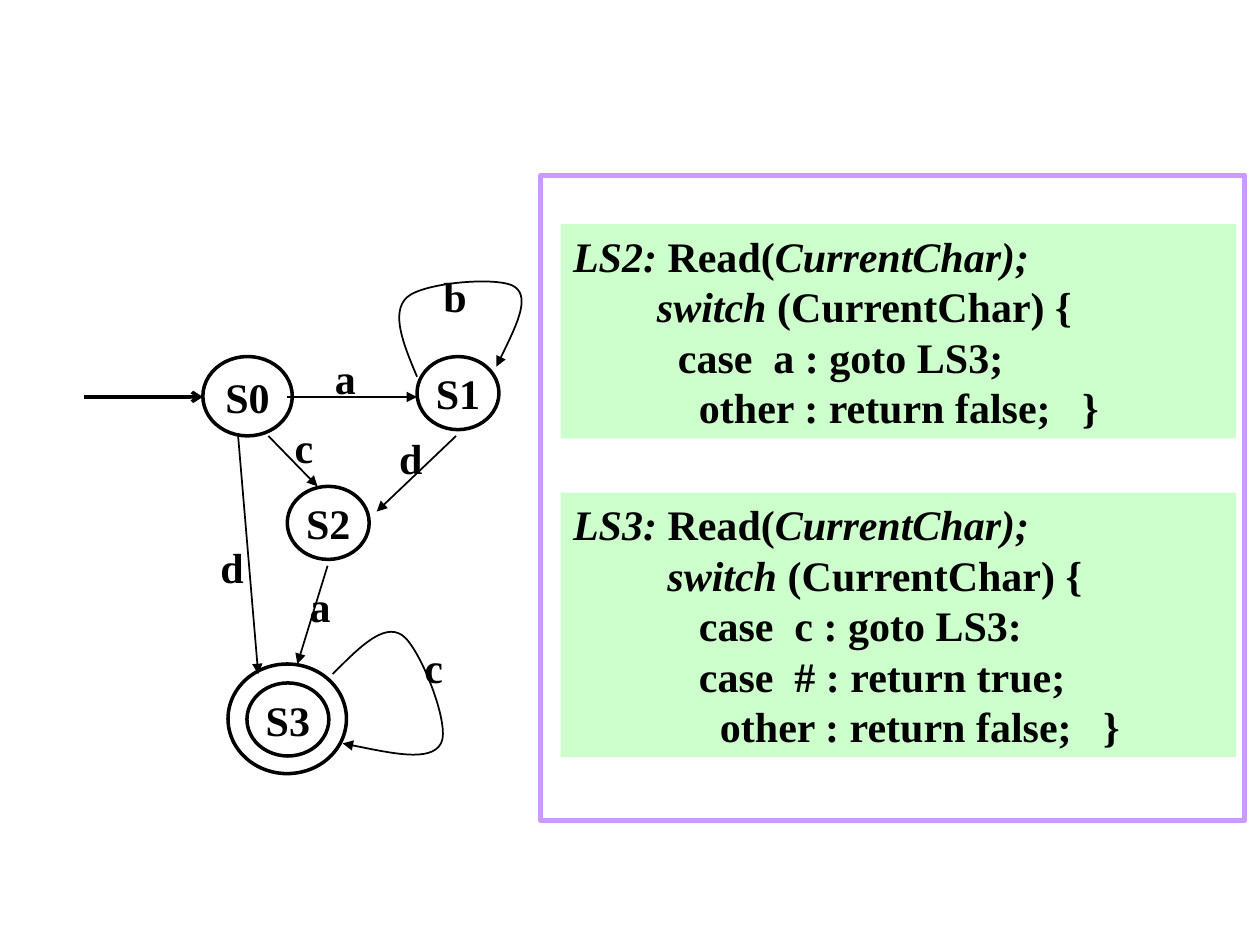
from typing import NamedTuple

import pptx
import pptx.dml.color
import pptx.enum.shapes
import pptx.enum.text
import pptx.oxml
import pptx.oxml.ns
import pptx.util

Inches = pptx.util.Inches
Pt = pptx.util.Pt
RGBColor = pptx.dml.color.RGBColor
MSO_SHAPE = pptx.enum.shapes.MSO_SHAPE
PP_ALIGN = pptx.enum.text.PP_ALIGN
MSO_ANCHOR = pptx.enum.text.MSO_ANCHOR
qn = pptx.oxml.ns.qn

BLACK = RGBColor(0x00, 0x00, 0x00)
PURPLE = RGBColor(0xCC, 0x99, 0xFF)
GREEN = RGBColor(0xCC, 0xFF, 0xCC)
FONT = "Times New Roman"


class State(NamedTuple):
    name: str
    left: float
    top: float
    width: float = 0.65
    height: float = 0.58


class Arrow(NamedTuple):
    start: tuple[float, float]
    end: tuple[float, float]
    width: float = 1
    head: str = "triangle"


class Label(NamedTuple):
    text: str
    left: float
    top: float
    width: float = 0.47


class CodeBox(NamedTuple):
    top: float
    height: float
    lines: list[list[tuple[str, bool]]]  # runs: text, italic


STATES = [
    State("S0", 1.61, 2.83, 0.71, 0.63),
    State("S1", 3.31, 2.83),
    State("S2", 2.28, 3.86),
    State("S3", 1.96, 5.42),
    State("", 1.81, 5.27, 0.94, 0.87),  # outer ring of the accepting state
]
ARROWS = [
    Arrow((0.67, 3.15), (1.61, 3.15), 2, "arrow"),
    Arrow((2.28, 3.15), (3.31, 3.15)),
    Arrow((2.13, 3.46), (2.52, 3.86)),
    Arrow((1.89, 3.46), (2.05, 5.35)),
    Arrow((3.62, 3.46), (2.99, 4.06)),
    Arrow((2.6, 4.49), (2.36, 5.27)),
]
# Self-loops: a start point, then three Bezier points per segment
LOOPS = [
    [(3.31, 2.99), (3.2, 2.73), (3.1, 2.48), (3.23, 2.36), (3.36, 2.24),
     (3.98, 2.19), (4.09, 2.28), (4.21, 2.37), (4.07, 2.64), (3.94, 2.91)],
    [(2.64, 5.35), (2.84, 5.15), (3.04, 4.94), (3.19, 5.04), (3.33, 5.13),
     (3.58, 5.76), (3.5, 5.9), (3.42, 6.05), (3.07, 5.97), (2.72, 5.9)],
]
LABELS = [
    Label("a", 2.56, 2.75, 0.51),
    Label("c", 2.24, 3.3),
    Label("d", 1.65, 4.25),
    Label("d", 3.07, 3.38, 0.32),
    Label("a", 2.36, 4.56),
    Label("b", 3.42, 2.1),
    Label("c", 3.27, 5.04),
]
CODE_BOXES = [
    CodeBox(1.78, 1.7, [
        [("LS2: ", True), ("Read(", False), ("CurrentChar);", True)],
        [("        switch", True), (" (CurrentChar) {", False)],
        [("          case  a : goto LS3;", False)],
        [("            other : return false;   }", False)],
    ]),
    CodeBox(3.91, 2.1, [
        [("LS3: ", True), ("Read(", False), ("CurrentChar);", True)],
        [("         switch", True), (" (CurrentChar) {", False)],
        [("            case  c : goto LS3:", False)],
        [("            case  # : return true;", False)],
        [("              other : return false;   }", False)],
    ]),
]


def style_run(r, italic: bool = False) -> None:
    r.font.name = FONT
    r.font.size = Pt(24)
    r.font.bold = True
    r.font.italic = italic
    r.font.color.rgb = BLACK


def outline(sp, width: float, color: RGBColor = BLACK) -> None:
    sp.shadow.inherit = False
    sp.fill.background()
    sp.line.color.rgb = color
    sp.line.width = Pt(width)


def add_head(line, head: str) -> None:
    tail = pptx.oxml.parse_xml(
        f'<a:tailEnd {pptx.oxml.ns.nsdecls("a")} type="{head}"/>')
    line.get_or_add_ln().append(tail)


def draw_state(shapes, state: State) -> None:
    sp = shapes.add_shape(MSO_SHAPE.OVAL, Inches(state.left), Inches(state.top),
                          Inches(state.width), Inches(state.height))
    outline(sp, 2)
    if state.name:
        tf = sp.text_frame
        tf.word_wrap = False
        tf.vertical_anchor = MSO_ANCHOR.MIDDLE
        tf.text = state.name
        p = tf.paragraphs[0]
        p.alignment = PP_ALIGN.CENTER
        style_run(p.runs[0])


def draw_arrow(shapes, arrow: Arrow) -> None:
    line = shapes.add_connector(
        pptx.enum.shapes.MSO_CONNECTOR.STRAIGHT,
        *(Inches(v) for v in arrow.start + arrow.end))
    line.line.color.rgb = BLACK
    line.line.width = Pt(arrow.width)
    add_head(line, arrow.head)
    line._element.spPr.append(pptx.oxml.parse_xml(
        f'<a:effectLst {pptx.oxml.ns.nsdecls("a")}/>'))


def draw_loop(shapes, points: list[tuple[float, float]]) -> None:
    x, y = points[0]
    builder = shapes.build_freeform(Inches(x), Inches(y))
    builder.add_line_segments([(Inches(x), Inches(y)) for x, y in points[1:]],
                              close=False)
    sp = builder.convert_to_shape()
    # Merge every three straight segments into one cubic curve
    path = sp._element.find(".//" + qn("a:path"))
    segments = path.findall(qn("a:lnTo"))
    for i in range(0, len(segments), 3):
        curve = path.makeelement(qn("a:cubicBezTo"))
        path.append(curve)
        for segment in segments[i:i + 3]:
            curve.append(segment[0])
            path.remove(segment)
    outline(sp, 1)
    add_head(sp, "triangle")


def draw_label(shapes, label: Label) -> None:
    tb = shapes.add_textbox(Inches(label.left), Inches(label.top),
                            Inches(label.width), Inches(0.5))
    tf = tb.text_frame
    tf.word_wrap = True
    tf.text = label.text
    style_run(tf.paragraphs[0].runs[0])


def draw_code(shapes, box: CodeBox) -> None:
    sp = shapes.add_shape(MSO_SHAPE.RECTANGLE, Inches(4.45), Inches(box.top),
                          Inches(5.36), Inches(box.height))
    sp.shadow.inherit = False
    sp.fill.solid()
    sp.fill.fore_color.rgb = GREEN
    sp.line.fill.background()
    tf = sp.text_frame
    tf.word_wrap = True
    tf.vertical_anchor = MSO_ANCHOR.TOP
    for i, runs in enumerate(box.lines):
        p = tf.add_paragraph() if i else tf.paragraphs[0]
        p.alignment = PP_ALIGN.LEFT
        for text, italic in runs:
            r = p.add_run()
            r.text = text
            style_run(r, italic)


def main() -> None:
    prs = pptx.Presentation()
    prs.slide_width, prs.slide_height = Inches(10), Inches(7.5)
    s = prs.slides.add_slide(prs.slide_layouts[6])

    # State diagram
    diagram = s.shapes.add_group_shape().shapes
    for items, draw in ((STATES, draw_state), (ARROWS, draw_arrow),
                        (LOOPS, draw_loop), (LABELS, draw_label)):
        for item in items:
            draw(diagram, item)

    # Code panel
    frame = s.shapes.add_shape(MSO_SHAPE.RECTANGLE, Inches(4.29), Inches(1.39),
                               Inches(5.59), Inches(5.12))
    outline(frame, 2.75, PURPLE)
    for box in CODE_BOXES:
        draw_code(s.shapes, box)

    prs.save("out.pptx")


if __name__ == "__main__":
    main()
